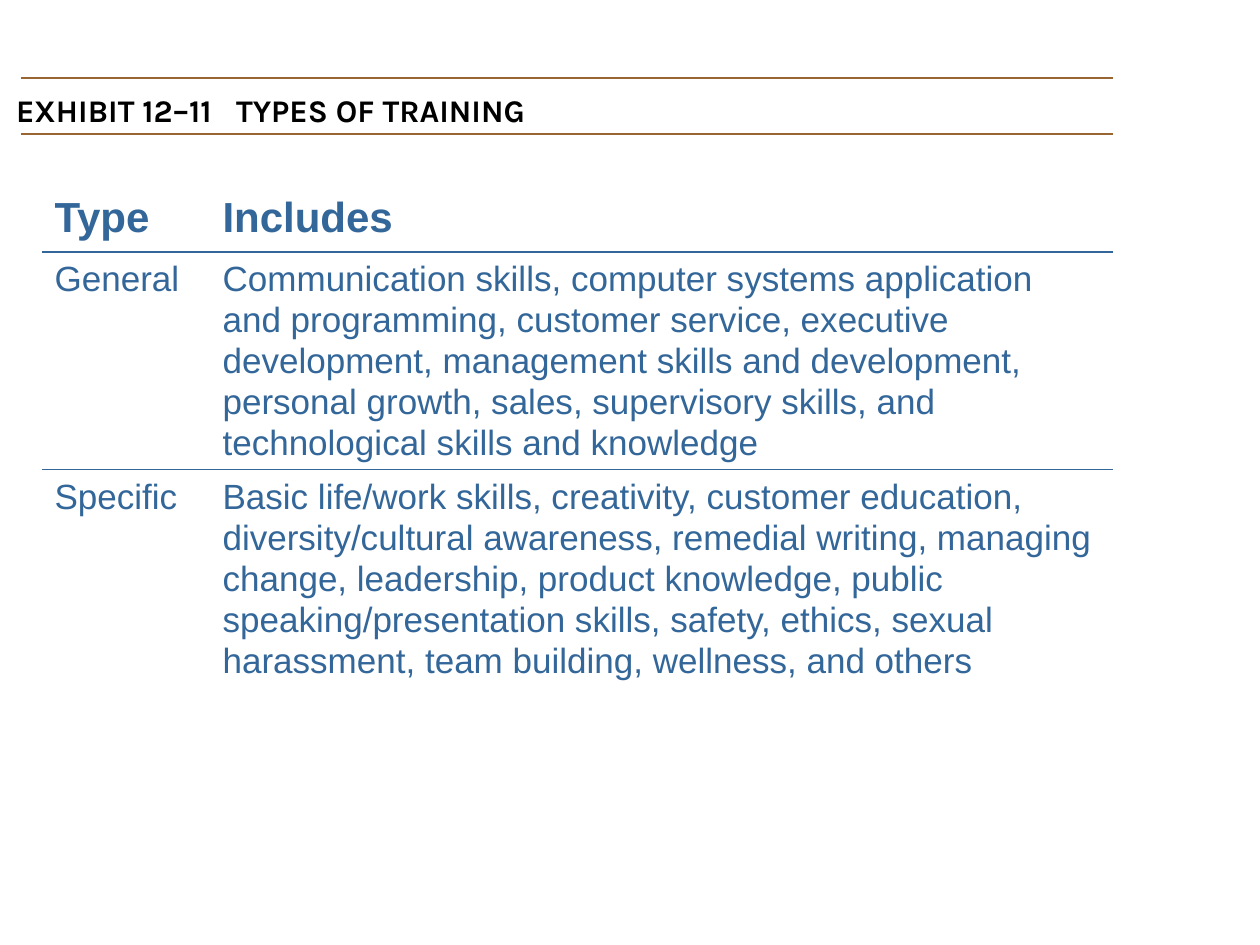
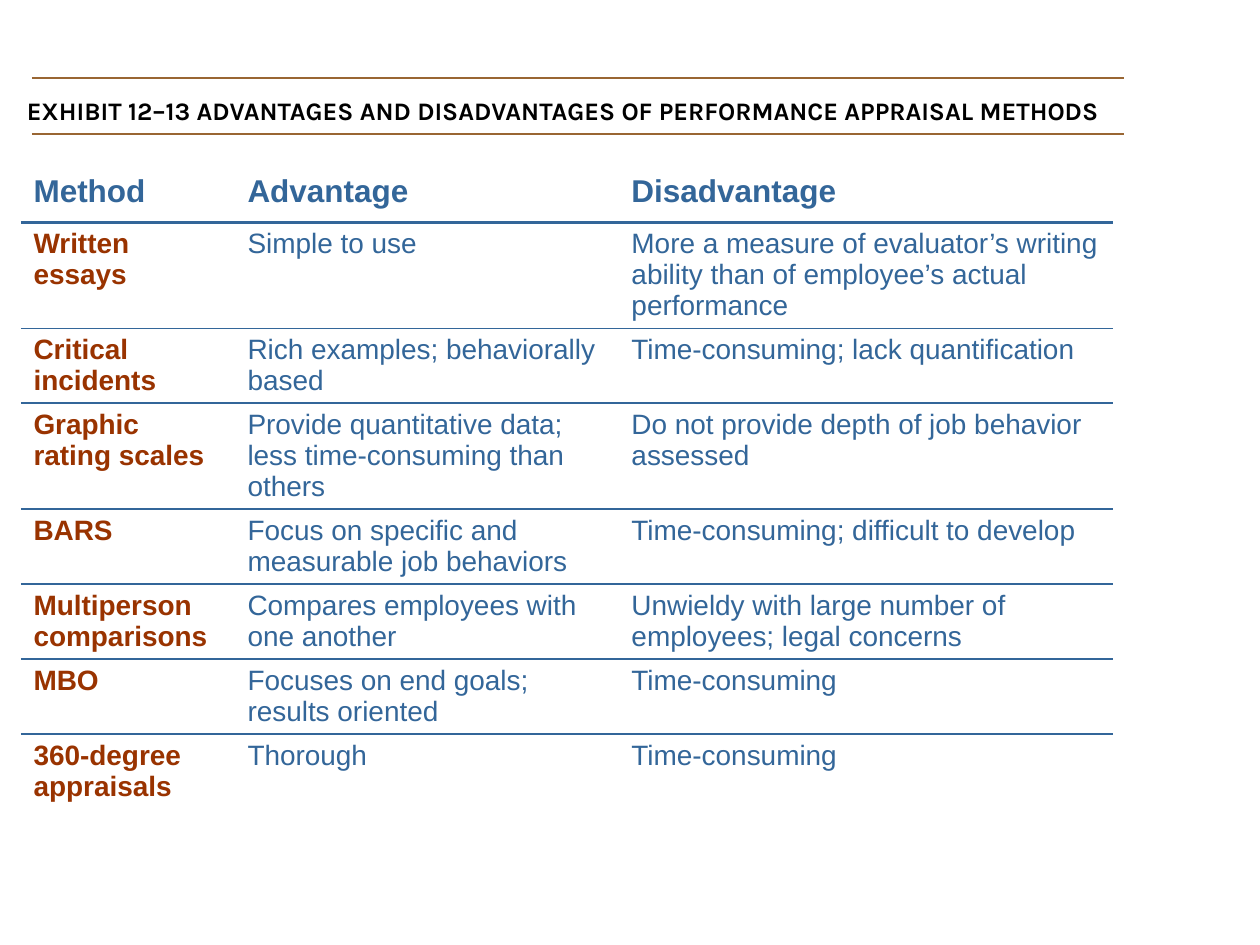
"""Build two exhibit slides on training types and appraisal methods."""
from lxml import etree
from pptx import Presentation
from pptx.dml.color import RGBColor
from pptx.enum.shapes import MSO_CONNECTOR
from pptx.enum.text import MSO_ANCHOR, MSO_AUTO_SIZE, PP_ALIGN
from pptx.oxml.ns import qn
from pptx.util import Emu, Pt

STRAIGHT = MSO_CONNECTOR.STRAIGHT
BOTTOM = MSO_ANCHOR.BOTTOM
NO_AUTOFIT = MSO_AUTO_SIZE.NONE
LEFT = PP_ALIGN.LEFT

BLACK = RGBColor(0x00, 0x00, 0x00)
BLUE = RGBColor(0x33, 0x66, 0x99)
BROWN = RGBColor(0x99, 0x66, 0x33)
RUST = RGBColor(0x99, 0x33, 0x00)

TITLE_FONT = "Karla"
BODY_FONT = "Arial"
TITLE_ONLY = 5
EMU_PER_PX = 914400 / 126
RULE_WIDTH = 1092
RULE_TOPS = (78, 134)

TRAINING = [
    ("Type", "Includes"),
    ("General",
     "Communication skills, computer systems application and programming, "
     "customer service, executive development, management skills and "
     "development, personal growth, sales, supervisory skills, and "
     "technological skills and knowledge"),
    ("Specific",
     "Basic life/work skills, creativity, customer education, "
     "diversity/cultural awareness, remedial writing, managing change, "
     "leadership, product knowledge, public speaking/presentation skills, "
     "safety, ethics, sexual harassment, team building, wellness, and others"),
]
APPRAISALS = [
    ("Method", "Advantage", "Disadvantage"),
    ("Written essays", "Simple to use",
     "More a measure of evaluator’s writing ability than of employee’s "
     "actual performance"),
    ("Critical incidents", "Rich examples; behaviorally based",
     "Time-consuming; lack quantification"),
    ("Graphic rating scales",
     "Provide quantitative data; less time-consuming than others",
     "Do not provide depth of job behavior assessed"),
    ("BARS", "Focus on specific and measurable job behaviors",
     "Time-consuming; difficult to develop"),
    ("Multiperson comparisons", "Compares employees with one another",
     "Unwieldy with large number of employees; legal concerns"),
    ("MBO", "Focuses on end goals; results oriented", "Time-consuming"),
    ("360-degree appraisals", "Thorough", "Time-consuming"),
]


def px(length):
    """Turn pixels into EMU."""
    return Emu(round(length * EMU_PER_PX))


def write(frame, text, *, size, color, font=BODY_FONT, bold=False,
          spacing=None, tab=None):
    """Put one formatted paragraph into a text frame."""
    para = frame.paragraphs[0]
    para.text = text
    para.alignment = LEFT
    para.space_before = Pt(0)
    if spacing:
        para.line_spacing = spacing
    if tab:
        tabs = etree.SubElement(para._p.get_or_add_pPr(), qn("a:tabLst"))
        etree.SubElement(tabs, qn("a:tab"), pos=str(px(tab)), algn="l")
    para.font.name = font
    para.font.size = Pt(size)
    para.font.bold = bold
    para.font.color.rgb = color


def set_borders(cell, top, bottom):
    """Draw horizontal cell borders of the given widths; zero hides one."""
    properties = cell._tc.get_or_add_tcPr()
    widths = {"a:lnL": 0, "a:lnR": 0, "a:lnT": top, "a:lnB": bottom}
    for index, (tag, width) in enumerate(widths.items()):
        line = etree.Element(qn(tag), w=str(Pt(width)))
        if width:
            fill = etree.SubElement(line, qn("a:solidFill"))
            etree.SubElement(fill, qn("a:srgbClr"), val=str(BLUE))
        else:
            etree.SubElement(line, qn("a:noFill"))
        properties.insert(index, line)


class ExhibitDeck:
    """Hold the exhibit style and the current page."""

    def __init__(self):
        """Start a deck of 10 by 7.5 inches."""
        self.deck = Presentation()
        self.deck.slide_width = px(1260)
        self.deck.slide_height = px(945)
        self.page = None

    def add_page(self, text, left, title_height, size, tab=None):
        """Add a page with its title between two rules."""
        self.page = self.deck.slides.add_slide(
            self.deck.slide_layouts[TITLE_ONLY])
        title = self.page.shapes.title
        title.left, title.top = px(left - 11), px(79)
        title.width, title.height = px(1113), px(title_height)
        frame = title.text_frame
        frame.auto_size = NO_AUTOFIT
        frame.word_wrap = True
        frame.vertical_anchor = BOTTOM
        frame.margin_left = frame.margin_right = px(6)
        frame.margin_top = frame.margin_bottom = 0
        write(frame, text, size=size, color=BLACK, font=TITLE_FONT,
              bold=True, tab=tab)
        for top in RULE_TOPS:
            self.add_rule(left, top)

    def add_rule(self, left, top):
        """Add a horizontal brown rule."""
        rule = self.page.shapes.add_connector(
            STRAIGHT, px(left), px(top), px(left + RULE_WIDTH), px(top))
        rule.line.color.rgb = BROWN
        rule.line.width = Pt(1.5)
        etree.SubElement(rule._element.spPr, qn("a:effectLst"))

    def add_table(self, rows, left, top, widths, heights, *, head_size,
                  body_size, head_rule=1, head_margins=(6, 6),
                  spacing=None, label_color=BLUE, label_bold=False):
        """Add a plain table with blue rules between its rows."""
        table = self.page.shapes.add_table(
            len(rows), len(widths), px(left), px(top),
            px(sum(widths)), px(sum(heights))).table
        table.first_row = table.horz_banding = False
        for column, width in zip(table.columns, widths):
            column.width = px(width)
        rules = [0, head_rule] + [1] * (len(rows) - 2) + [0]
        for r, (texts, height) in enumerate(zip(rows, heights)):
            table.rows[r].height = px(height)
            for c, text in enumerate(texts):
                cell = table.cell(r, c)
                cell.fill.background()
                set_borders(cell, rules[r], rules[r + 1])
                if r == 0:
                    cell.margin_top, cell.margin_bottom = map(px, head_margins)
                    write(cell.text_frame, text, size=head_size, color=BLUE,
                          bold=True)
                else:
                    is_label = c == 0
                    write(cell.text_frame, text, size=body_size,
                          color=label_color if is_label else BLUE,
                          bold=label_bold and is_label, spacing=spacing)

    def save(self):
        """Save the deck."""
        self.deck.save("out.pptx")


def main():
    """Build both exhibits."""
    exhibits = ExhibitDeck()

    exhibits.add_page("EXHIBIT 12–11\tTYPES OF TRAINING", left=21,
                      title_height=50, size=18, tab=220)
    exhibits.add_table(TRAINING, 42, 189, (168, 903), (63, 217, 217),
                       head_size=24, body_size=20, spacing=1.05)

    exhibits.add_page("EXHIBIT 12–13 ADVANTAGES AND DISADVANTAGES OF "
                      "PERFORMANCE APPRAISAL METHODS", left=32,
                      title_height=47, size=14.4)
    exhibits.add_table(APPRAISALS, 21, 168, (214, 384, 494),
                       (54, 106, 75, 106, 75, 75, 75, 75),
                       head_size=18, body_size=16, head_rule=2.25,
                       head_margins=(6, 13), label_color=RUST,
                       label_bold=True)
    exhibits.save()


if __name__ == "__main__":
    main()
